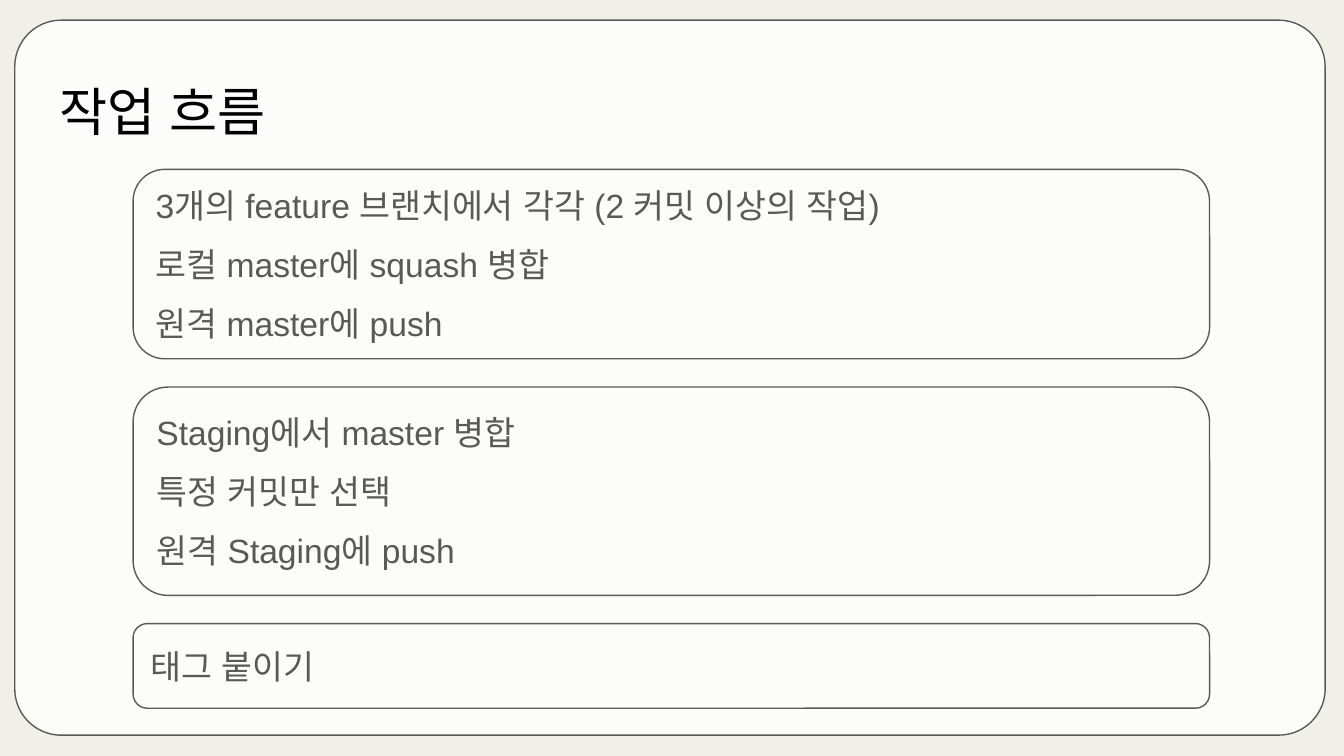
from lxml import etree
from pptx import Presentation, util as u
from pptx.dml.color import RGBColor
from pptx.enum import shapes, text
from pptx.oxml import ns

HEADING = "작업 흐름"
STAGES = [
    (1.26, 1.41, ["3개의 feature 브랜치에서 각각 (2 커밋 이상의 작업)",
                  "로컬 master에 squash 병합",
                  "원격 master에 push"]),
    (2.88, 1.55, ["Staging에서 master 병합",
                  "특정 커밋만 선택",
                  "원격 Staging에 push"]),
    (4.64, 0.63, ["태그 붙이기"]),
]
STAGE_LEFT, STAGE_WIDTH = 0.99, 8.01
BACKDROP, PANEL, GREY, BLACK = "F0F0E8", "FCFCFA", "595959", "000000"
FONT = "Arial"
FRAME = dict(word_wrap=True, auto_size=text.MSO_AUTO_SIZE.NONE,
             **{f"margin_{side}": u.Inches(0.1)
                for side in ("left", "top", "right", "bottom")})


def apply(target, values):
    for key, value in values.items():
        setattr(target, key, value)


def paint(color_format, color):
    color_format.rgb = RGBColor.from_string(color)


def write(owner, lines, size, color, anchor):
    frame = owner.text_frame
    apply(frame, dict(FRAME, vertical_anchor=anchor))
    frame.text = "\n".join(lines)
    for paragraph in frame.paragraphs:
        apply(paragraph, dict(alignment=text.PP_ALIGN.LEFT, line_spacing=1.0,
                              space_before=u.Pt(0), space_after=u.Pt(0)))
        for run in paragraph.runs:
            apply(run.font, dict(name=FONT, size=u.Pt(size)))
            paint(run.font.color, color)
            for script in ("a:ea", "a:cs"):
                etree.SubElement(run._r.get_or_add_rPr(), ns.qn(script),
                                 typeface=FONT)


def rounded(left, top, width, height, radius, fill=None):
    box = slide.shapes.add_shape(shapes.MSO_SHAPE.ROUNDED_RECTANGLE,
                                 *map(u.Inches, (left, top, width, height)))
    box.adjustments[0] = radius
    box.shadow.inherit = False
    if fill:
        box.fill.solid()
        paint(box.fill.fore_color, fill)
    else:
        box.fill.background()
    paint(box.line.color, GREY)
    box.line.width = u.Pt(0.75)
    return box


deck = Presentation()
apply(deck, dict(slide_width=u.Inches(10), slide_height=u.Inches(10 * 9 / 16)))
slide = deck.slides.add_slide(deck.slide_layouts[5])
slide.background.fill.solid()
paint(slide.background.fill.fore_color, BACKDROP)

panel = rounded(0.11, 0.15, 9.75, 5.32, 0.065, PANEL)
heading = slide.shapes.title
heading._element.addprevious(panel._element)
apply(heading, dict(left=u.Inches(0.34), top=u.Inches(0.49),
                    width=u.Inches(9.32), height=u.Inches(0.63)))
write(heading, [HEADING], 28, BLACK, text.MSO_ANCHOR.TOP)

for top, height, steps in STAGES:
    stage = rounded(STAGE_LEFT, top, STAGE_WIDTH, height, 0.167)
    write(stage, steps, 18, GREY, text.MSO_ANCHOR.MIDDLE)
    paragraphs = stage.text_frame.paragraphs
    for step in paragraphs[1:]:
        step.space_before = u.Pt(10)
    paragraphs[-1].space_after = u.Pt(10)

deck.save("out.pptx")
